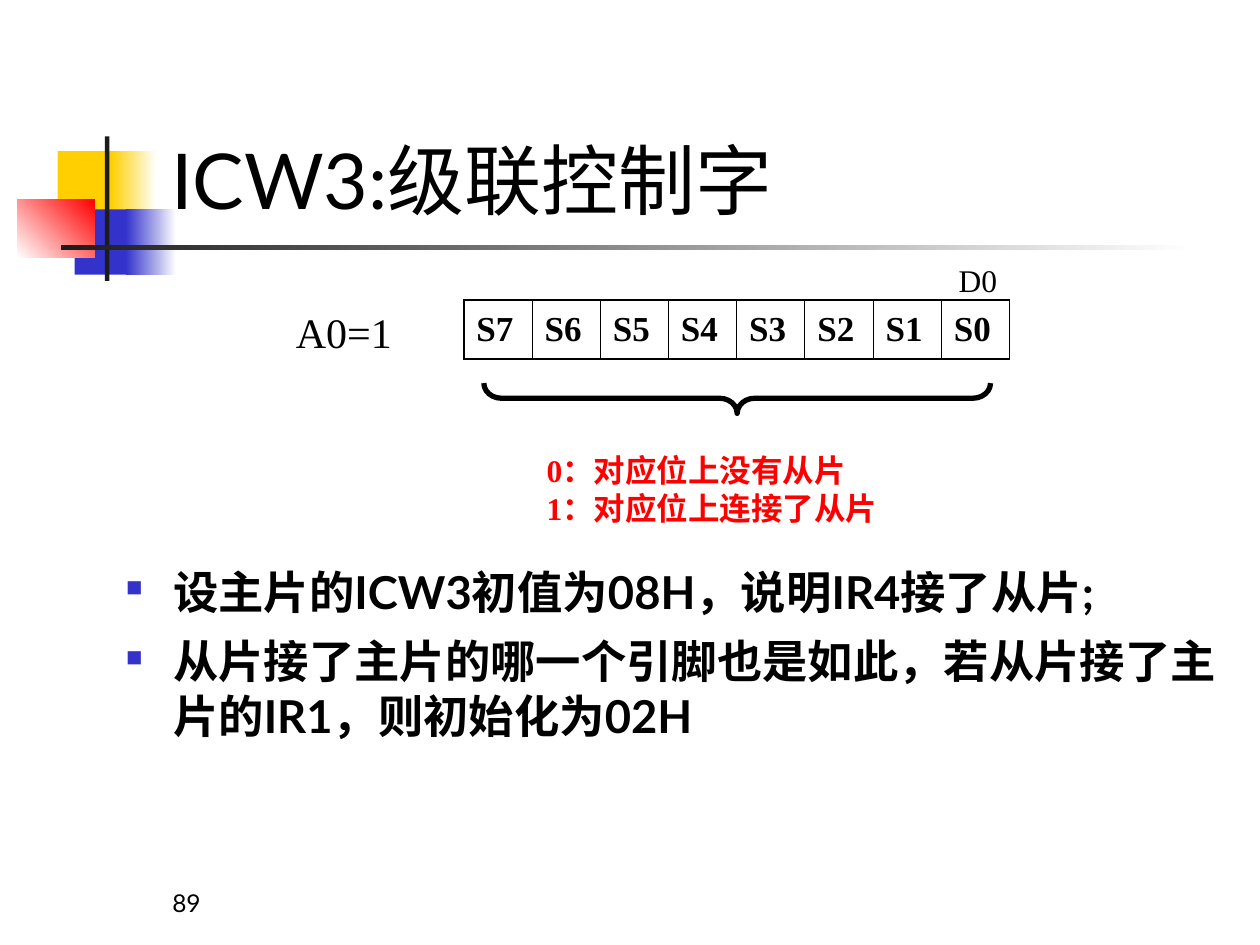
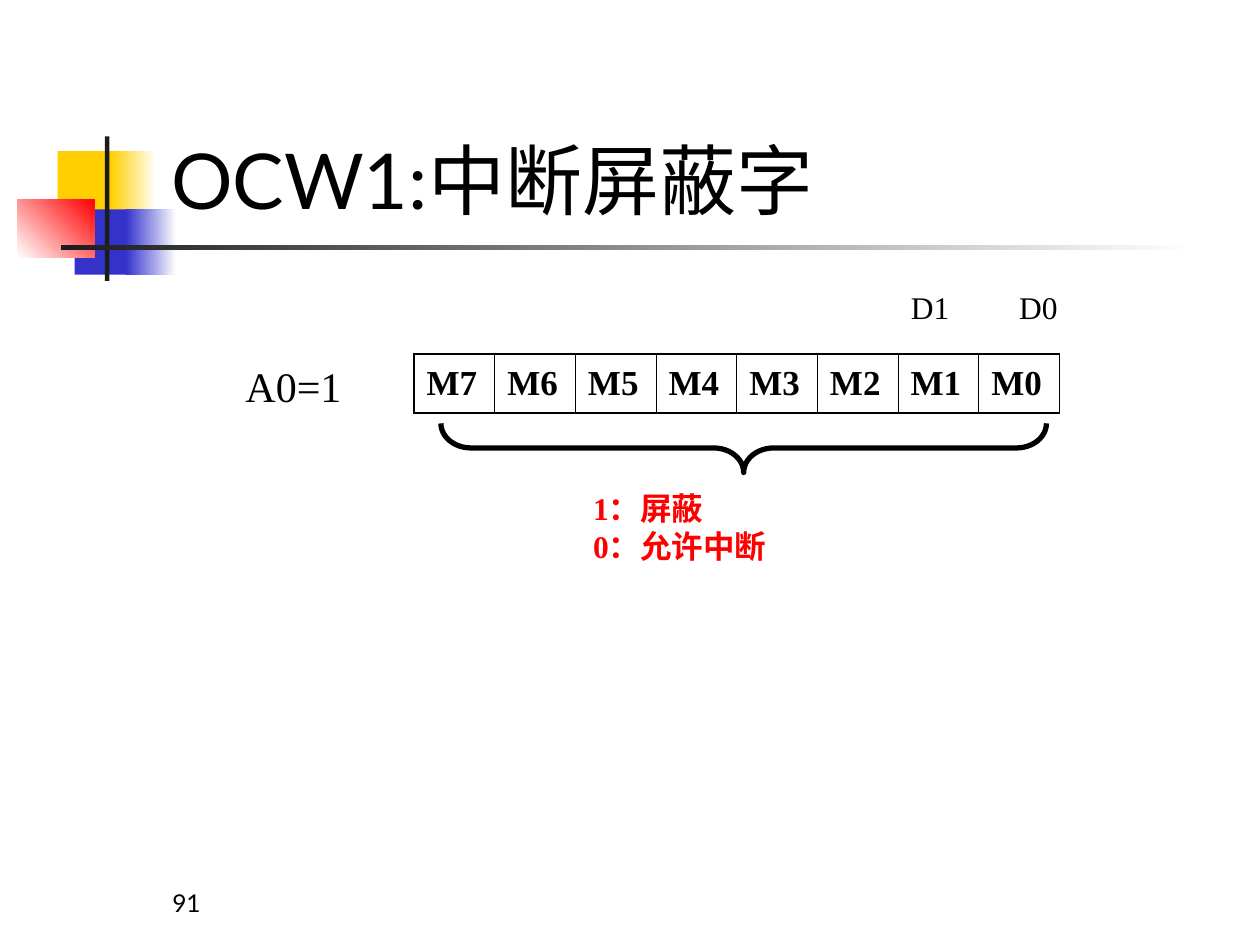
from lxml import etree
from pptx import Presentation
from pptx.dml.color import RGBColor
from pptx.enum import shapes, text
from pptx.oxml import ns
from pptx.util import Pt

BLACK = RGBColor(0, 0, 0)
WHITE = RGBColor(255, 255, 255)
INK = RGBColor(0x1C, 0x1C, 0x1C)
GOLD = RGBColor(0xFF, 0xCF, 0x01)
BLUE = RGBColor(0x33, 0x33, 0xCC)
RED = RGBColor(255, 0, 0)
SANS, SERIF = "Lato", "Times New Roman"
ROW = 33.84
THICK, THIN = 1.08, 0.45

# left, top, width, height, colours from start to end, angle
DECOR = [
    (33, 86.4, 34.6, 37.4, [GOLD], 0),
    (63.4, 86.4, 26, 37.4, [GOLD, WHITE], 0),
    (42.6, 119.6, 33, 37.4, [BLUE], 0),
    (72, 119.6, 28.8, 37.4, [BLUE, WHITE], 0),
    (10, 113.8, 44, 33.2, [WHITE, RED], 45),
    (60, 78, 2.5, 82.6, [INK], 0),
    (34.8, 140.2, 648, 2.5, [INK, WHITE], 0),
]


def box(x, y, w, h):
    return Pt(x), Pt(y), Pt(w), Pt(h)


def add(node, tag, **attrs):
    return etree.SubElement(node, ns.qn(tag), attrs)


def mark(para):
    """Give a paragraph a hanging square bullet."""
    props = para._p.get_or_add_pPr()
    props.set("marL", str(Pt(27)))
    props.set("indent", str(-Pt(27)))
    add(add(props, "a:buClr"), "a:srgbClr", val=str(BLUE))
    add(props, "a:buSzPct", val="50000")
    add(props, "a:buChar", char="■")


def write(frame, lines, size=18, face=SERIF, color=BLACK, bold=False,
          tight=False, anchor=text.MSO_ANCHOR.TOP, bullet=False, gap=0,
          lead=None):
    frame.word_wrap = True
    frame.vertical_anchor = anchor
    if tight:
        frame.margin_right = 0
    for i, line in enumerate(lines.split("\n")):
        para = frame.add_paragraph() if i else frame.paragraphs[0]
        if bullet:
            mark(para)
        if i and gap:
            para.space_before = Pt(gap)
        if lead:
            para.line_spacing = lead
        run = para.add_run()
        run.text = line
        font = run.font
        font.size, font.name, font.bold = Pt(size), face, bold
        font.color.rgb = color


def label(slide, lines, x, y, w, h, **form):
    write(slide.shapes.add_textbox(*box(x, y, w, h)).text_frame, lines, **form)


def block(slide, x, y, w, h, tones, angle):
    """Draw a borderless rectangle, plain or blended."""
    rect = slide.shapes.add_shape(shapes.MSO_SHAPE.RECTANGLE, *box(x, y, w, h))
    rect.shadow.inherit = False
    rect.line.fill.background()
    if len(tones) == 1:
        rect.fill.solid()
        rect.fill.fore_color.rgb = tones[0]
        return
    rect.fill.gradient()
    rect.fill.gradient_angle = angle
    for i, (stop, tone) in enumerate(zip(rect.fill.gradient_stops, tones)):
        stop.position = i
        stop.color.rgb = tone


def edge(cell, side, width):
    line = add(cell._tc.get_or_add_tcPr(), "a:ln" + side, w=str(Pt(width)))
    add(add(line, "a:solidFill"), "a:srgbClr", val=str(BLACK))


def bits(slide, letter, x, y, w):
    """Draw the eight bits of a control word, highest first."""
    frame = slide.shapes.add_table(1, 8, *box(x, y, 8 * w, ROW))
    table = frame.table
    table.first_row = table.horz_banding = False
    table.rows[0].height = Pt(ROW)
    for i in range(8):
        table.columns[i].width = Pt(w)
        cell = table.cell(0, i)
        write(cell.text_frame, f"{letter}{7 - i}", size=20, bold=True, lead=1.1)
        edge(cell, "L", THIN if i else THICK)
        edge(cell, "R", THIN if i < 7 else THICK)
        edge(cell, "T", THICK)
        edge(cell, "B", THICK)
        cell.fill.background()


def brace(slide, x, y, w, h, curve):
    """Draw a brace that spans w and points down."""
    left, top = x + (w - h) / 2, y + (h - w) / 2
    shape = slide.shapes.add_shape(shapes.MSO_SHAPE.LEFT_BRACE,
                                   *box(left, top, h, w))
    shape.rotation = 270
    shape.adjustments[0] = curve
    shape.shadow.inherit = False
    shape.fill.background()
    shape.line.color.rgb = BLACK
    shape.line.width = Pt(3)


def page(deck, title, number):
    """Start a slide with the shared decoration, title and number."""
    slide = deck.slides.add_slide(deck.slide_layouts[6])
    for part in DECOR:
        block(slide, *part)
    low = text.MSO_ANCHOR.BOTTOM
    label(slide, number, 91.4, 491.8, 150, 36, size=14, face=SANS, anchor=low)
    label(slide, title, 90.7, 16.6, 613.4, 115.2, size=44, face=SANS,
          anchor=low)
    return slide


def pin(slide, name, x, y):
    label(slide, name, x, y, 36, 28.8, tight=True)


def port(slide, x, y):
    label(slide, "A0=1", x, y, 69, 36, size=24, tight=True)


def note(slide, lines, x, y, w):
    label(slide, lines, x, y, w, 50.4, color=RED, bold=True)


def main():
    deck = Presentation()
    deck.slide_width, deck.slide_height = Pt(720), Pt(540)

    # Cascade word
    slide = page(deck, "ICW3:级联控制字", "89")
    label(slide, "设主片的ICW3初值为08H，说明IR4接了从片;\n"
          "从片接了主片的哪一个引脚也是如此，若从片接了主片的IR1，则初始化为02H",
          64.8, 318.6, 655.2, 164.5, size=25.9, face=SANS, bold=True,
          bullet=True, gap=8.8)
    bits(slide, "S", 265, 171.4, 39)
    pin(slide, "D0", 540.7, 145.4)
    brace(slide, 276.5, 218.9, 289.5, 17.3, 0.58)
    note(slide, "0：对应位上没有从片\n1：对应位上连接了从片", 305.3, 254.2, 280.8)
    port(slide, 162, 171.4)

    # Mask word
    slide = page(deck, "OCW1:中断屏蔽字", "91")
    pin(slide, "D1", 513.4, 161.3)
    pin(slide, "D0", 575.3, 161.3)
    bits(slide, "M", 236.6, 202.3, 46.1)
    brace(slide, 252, 241.9, 346, 28.1, 0.61)
    note(slide, "1：屏蔽\n0：允许中断", 331.9, 275.8, 221)
    port(slide, 133.2, 202.3)

    deck.save("out.pptx")


if __name__ == "__main__":
    main()
